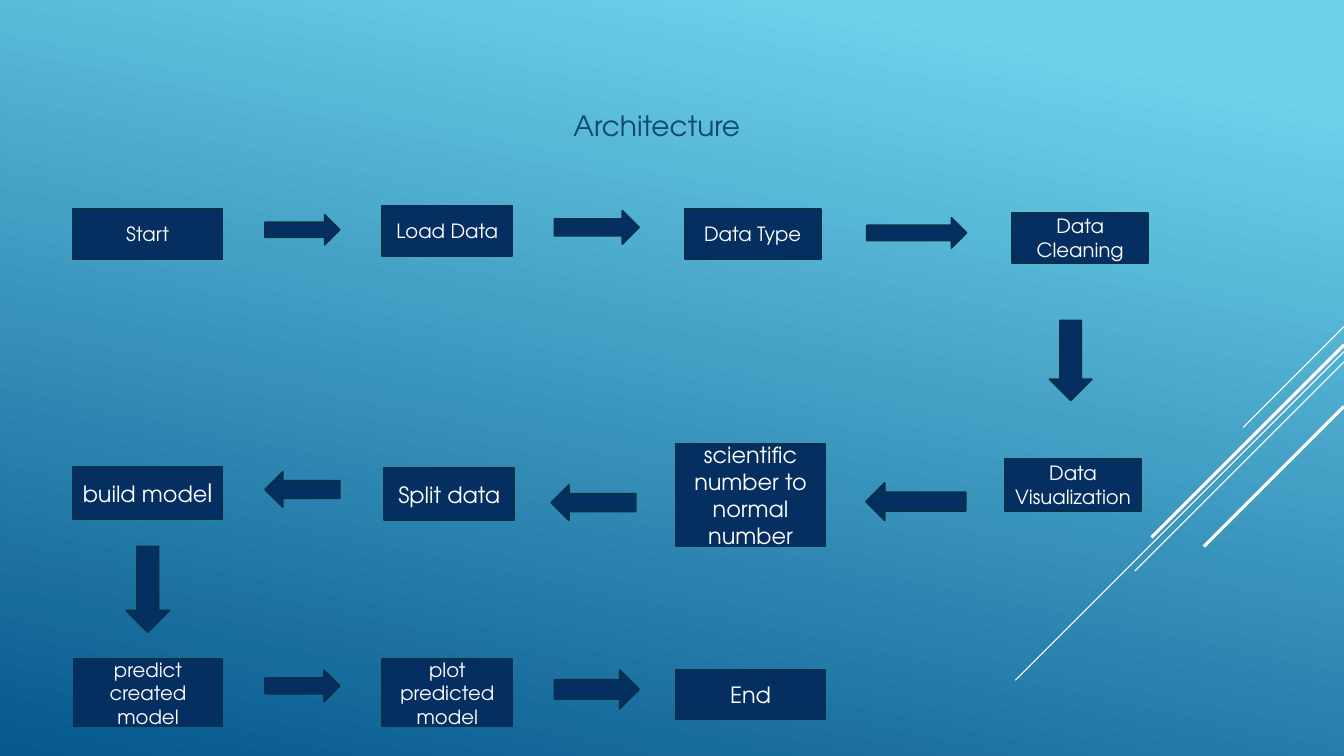
from lxml import etree
from pptx import Presentation
from pptx.dml.color import RGBColor
from pptx.enum.shapes import MSO_CONNECTOR, MSO_SHAPE
from pptx.enum.text import MSO_ANCHOR, PP_ALIGN
from pptx.oxml.ns import qn
from pptx.util import Cm, Pt

RECT = MSO_SHAPE.RECTANGLE
RIGHT, LEFT, DOWN = MSO_SHAPE.RIGHT_ARROW, MSO_SHAPE.LEFT_ARROW, MSO_SHAPE.DOWN_ARROW
STRAIGHT = MSO_CONNECTOR.STRAIGHT
CENTER, MIDDLE = PP_ALIGN.CENTER, MSO_ANCHOR.MIDDLE

SKY = RGBColor(0x6E, 0xD2, 0xEB)
OCEAN = RGBColor(0x06, 0x58, 0x8E)
NAVY = RGBColor(0x05, 0x2F, 0x61)
EDGE = RGBColor(0x04, 0x31, 0x48)
TITLE = RGBColor(0x0F, 0x49, 0x6F)
WHITE = RGBColor(0xFF, 0xFF, 0xFF)

FONT = "TeX Gyre Adventor"
WIDTH, HEIGHT = 33.86, 19.05

# Diagonal lines: start height on the right edge, run at 45 degrees, weight
DIAGONALS = [
    (8.23, 2.54, 0.75),
    (8.86, 8.28, 0.75),
    (9.12, 5.27, 0.75),
    (8.69, 4.85, 2.25),
    (10.24, 3.53, 2.25),
]

# Steps: left, top, width, height, runs of (text, size)
STEPS = [
    (1.83, 5.26, 3.78, 1.27, [("Start", 14)]),
    (9.63, 5.18, 3.28, 1.27, [("Load Data", 14)]),
    (17.25, 5.26, 3.43, 1.27, [("Data Type", 14)]),
    (25.5, 5.36, 3.43, 1.27, [("Data Cleaning", 14)]),
    (25.32, 11.56, 3.43, 1.32, [("Data Visualization", 14)]),
    (17.02, 11.18, 3.78, 2.59, [("scientific number to normal number", 16)]),
    (9.68, 11.79, 3.28, 1.32, [("Split data", 16)]),
    (1.83, 11.76, 3.78, 1.32, [("build mode", 16), ("l", 18)]),
    (1.85, 16.61, 3.76, 1.7, [("predict created model", 14)]),
    (9.63, 16.61, 3.28, 1.7, [("plot predicted model", 14)]),
    (17.02, 16.89, 3.78, 1.24, [("End", 16)]),
]

# Arrows: preset, left, top, width, height
ARROWS = [
    (RIGHT, 6.68, 5.41, 1.88, 0.76),
    (RIGHT, 13.97, 5.31, 2.13, 0.84),
    (RIGHT, 21.84, 5.49, 2.51, 0.76),
    (DOWN, 26.44, 8.08, 1.07, 2.01),
    (LEFT, 21.82, 12.17, 2.51, 0.94),
    (LEFT, 13.89, 12.22, 2.13, 0.89),
    (LEFT, 6.68, 11.89, 1.88, 0.89),
    (DOWN, 3.18, 13.77, 1.09, 2.16),
    (RIGHT, 6.68, 16.89, 1.88, 0.79),
    (RIGHT, 13.97, 16.89, 2.13, 0.97),
]


def apply(target, values):
    for name, value in values.items():
        setattr(target, name, value)


class FlowSlide:
    """Holds the style and the current slide."""

    frame = {"word_wrap": True, "vertical_anchor": MIDDLE}

    def __init__(self, s):
        self.s = s

    def background(self, angle):
        fill = self.s.background.fill
        fill.gradient()
        fill.gradient_angle = angle
        for stop, position, color in zip(fill.gradient_stops, (0.1, 1), (SKY, OCEAN)):
            stop.position = position
            stop.color.rgb = color

    def diagonal(self, top, run, weight):
        line = self.s.shapes.add_connector(
            STRAIGHT, Cm(WIDTH), Cm(top), Cm(WIDTH - run), Cm(top + run))
        line.line.color.rgb = WHITE
        line.line.width = Pt(weight)
        etree.SubElement(line._element.spPr, qn("a:effectLst"))

    def label(self, tf, runs, color, **spacing):
        apply(tf, self.frame)
        p = tf.paragraphs[0]
        apply(p, {"alignment": CENTER, **spacing})
        for text, size in runs:
            r = p.add_run()
            r.text = text
            apply(r.font, {"name": FONT, "size": Pt(size)})
            r.font.color.rgb = color

    def title(self, text, *box):
        tb = self.s.shapes.add_textbox(*map(Cm, box))
        self.label(tb.text_frame, [(text, 20)], TITLE,
                   space_before=Pt(4), space_after=Pt(6))

    def shape(self, preset, *box):
        sp = self.s.shapes.add_shape(preset, *map(Cm, box))
        sp.shadow.inherit = False
        sp.fill.solid()
        sp.fill.fore_color.rgb = NAVY
        sp.line.color.rgb = EDGE
        sp.line.width = Pt(1.25)
        return sp

    def step(self, *box, runs):
        self.label(self.shape(RECT, *box).text_frame, runs, WHITE)


def main():
    prs = Presentation()
    prs.slide_width, prs.slide_height = Cm(WIDTH), Cm(HEIGHT)
    flow = FlowSlide(prs.slides.add_slide(prs.slide_layouts[6]))

    # Backdrop
    flow.background(258)
    for diagonal in DIAGONALS:
        flow.diagonal(*diagonal)

    # Title
    flow.title("Architecture", -0.38, 0.48, WIDTH, 5.38)

    # Flow chart
    for *box, runs in STEPS:
        flow.step(*box, runs=runs)
    for arrow in ARROWS:
        flow.shape(*arrow)

    prs.save("out.pptx")


if __name__ == "__main__":
    main()
